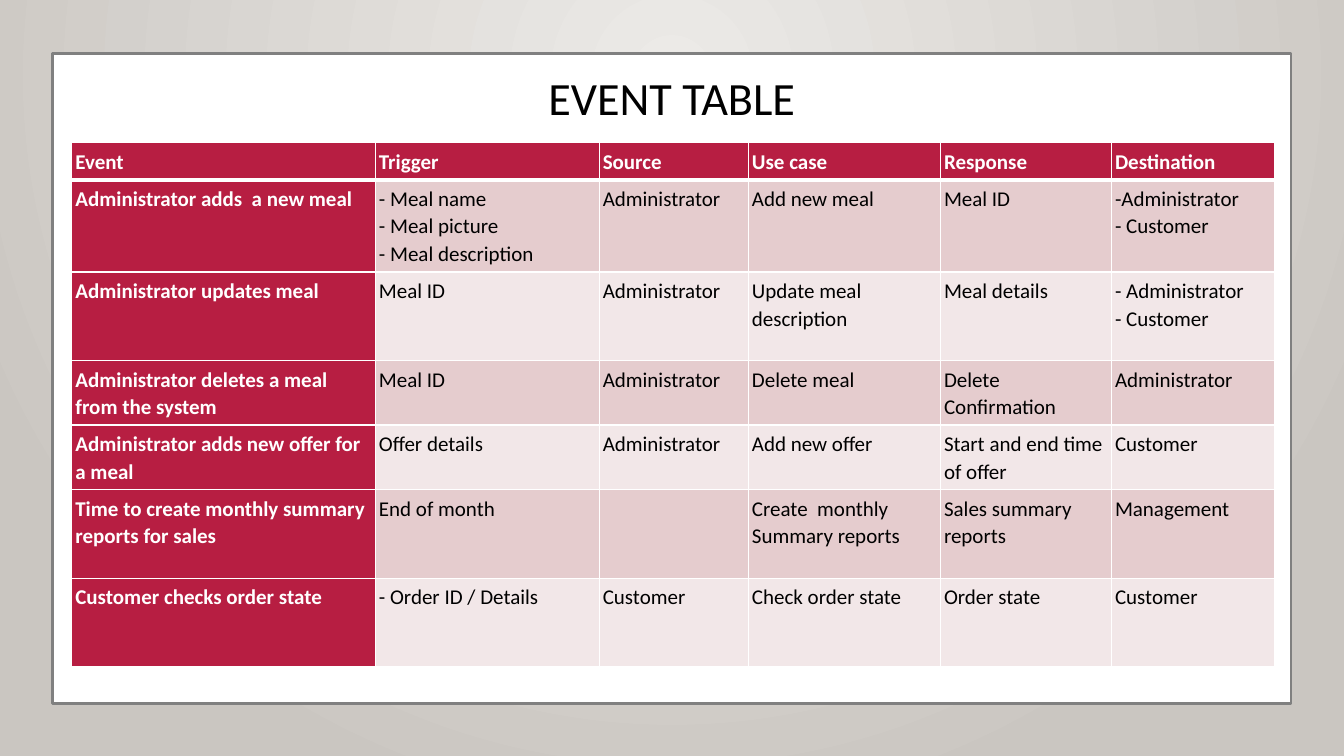
from lxml import etree
from pptx import Presentation, util as u
from pptx.dml.color import RGBColor
from pptx.enum import shapes, text
from pptx.oxml.ns import qn

COLORS = {
    "glow": "ECEAE7",
    "edge": "CAC6C1",
    "white": "FFFFFF",
    "frame": "808080",
    "crimson": "B71E42",
    "rose": "E5CCCE",
    "blush": "F2E7E8",
    "black": "000000",
}
FONT = "Calibri"
COLUMN_WIDTHS = [7.65, 5.64, 3.76, 4.84, 4.31, 4.11]
ROW_HEIGHTS = [0.93, 2.23, 2.23, 1.58, 1.58, 2.23, 2.23]
EVENTS = [
    ["Event", "Trigger", "Source", "Use case", "Response", "Destination"],
    ["Administrator adds  a new meal", "- Meal name\n- Meal picture\n- Meal description",
     "Administrator", "Add new meal", "Meal ID", "-Administrator\n- Customer"],
    ["Administrator updates meal", "Meal ID", "Administrator",
     "Update meal description", "Meal details", "- Administrator\n- Customer"],
    ["Administrator deletes a meal from the system", "Meal ID", "Administrator",
     "Delete meal", "Delete Confirmation", "Administrator"],
    ["Administrator adds new offer for a meal", "Offer details", "Administrator",
     "Add new offer", "Start and end time of offer", "Customer"],
    ["Time to create monthly summary reports for sales", "End of month", "",
     "Create  monthly Summary reports", "Sales summary reports", "Management"],
    ["Customer checks order state", "- Order ID / Details", "Customer",
     "Check order state", "Order state", "Customer"],
]


def rgb(name):
    return RGBColor.from_string(COLORS[name])


def style_font(font, size, color, bold=False):
    font.name = FONT
    font.size = u.Pt(size)
    font.bold = bold
    font.color.rgb = rgb(color)


def paint_background(page):
    fill = page.background.fill
    fill.gradient()
    for stop, position, name in zip(fill.gradient_stops, (0, 1), ("glow", "edge")):
        stop.position = position
        stop.color.rgb = rgb(name)
    gradient = page.background.element.find(".//" + qn("a:gradFill"))
    linear = gradient.find(qn("a:lin"))
    radial = etree.Element(qn("a:path"), path="circle")
    etree.SubElement(radial, qn("a:fillToRect"), l="50000", t="10000", r="50000", b="90000")
    gradient.replace(linear, radial)


def add_panel(page):
    panel = page.shapes.add_shape(
        shapes.MSO_SHAPE.RECTANGLE, u.Cm(1.32), u.Cm(1.35), u.Cm(31.22), u.Cm(16.38))
    panel.shadow.inherit = False
    panel.fill.solid()
    panel.fill.fore_color.rgb = rgb("white")
    panel.line.color.rgb = rgb("frame")
    panel.line.width = u.Pt(1.75)
    page.shapes.title.element.addprevious(panel.element)


def set_title(page, wording):
    title = page.shapes.title
    title.left, title.top = u.Cm(12.75), u.Cm(1.63)
    title.width, title.height = u.Cm(8.36), u.Cm(1.65)
    frame = title.text_frame
    frame.text = wording
    frame.word_wrap = False
    frame.auto_size = text.MSO_AUTO_SIZE.NONE
    frame.vertical_anchor = text.MSO_ANCHOR.MIDDLE
    para = frame.paragraphs[0]
    para.alignment = text.PP_ALIGN.CENTER
    style_font(para.runs[0].font, 33, "black")


def set_borders(cell, widths):
    properties = cell._tc.get_or_add_tcPr()
    for index, (side, width) in enumerate(widths.items()):
        line = etree.Element(qn("a:ln" + side), w=str(u.Pt(width)))
        fill = etree.SubElement(line, qn("a:solidFill"))
        etree.SubElement(fill, qn("a:srgbClr"), val=COLORS["white"])
        properties.insert(index, line)


def fill_cell(cell, wording, row, column):
    heading = row == 0 or column == 0
    cell.margin_left = cell.margin_right = u.Cm(0.09)
    cell.margin_top = cell.margin_bottom = u.Cm(0.12)
    cell.fill.solid()
    band = "rose" if row % 2 else "blush"
    cell.fill.fore_color.rgb = rgb("crimson" if heading else band)
    cell.text_frame.text = wording
    for para in cell.text_frame.paragraphs:
        para.line_spacing = 1.07
        style_font(para.font, 15, "white" if heading else "black", heading)
        for span in para.runs:
            style_font(span.font, 15, "white" if heading else "black", heading)
    set_borders(cell, {"L": 0.96, "R": 0.96,
                       "T": 3 if row == 1 else 0.96,
                       "B": 3 if row == 0 else 0.96})


def add_event_table(page):
    table = page.shapes.add_table(
        len(EVENTS), len(COLUMN_WIDTHS), u.Cm(1.81), u.Cm(3.6),
        u.Cm(sum(COLUMN_WIDTHS)), u.Cm(sum(ROW_HEIGHTS))).table
    table.first_col = True
    for column, width in zip(table.columns, COLUMN_WIDTHS):
        column.width = u.Cm(width)
    for row, height in zip(table.rows, ROW_HEIGHTS):
        row.height = u.Cm(height)
    for row, entries in enumerate(EVENTS):
        for column, wording in enumerate(entries):
            fill_cell(table.cell(row, column), wording, row, column)


def main():
    deck = Presentation()
    deck.slide_width, deck.slide_height = u.Cm(33.87), u.Cm(19.05)
    page = deck.slides.add_slide(deck.slide_layouts.get_by_name("Title Only"))
    paint_background(page)
    add_panel(page)
    set_title(page, "EVENT TABLE")
    add_event_table(page)
    deck.save("out.pptx")


if __name__ == "__main__":
    main()
